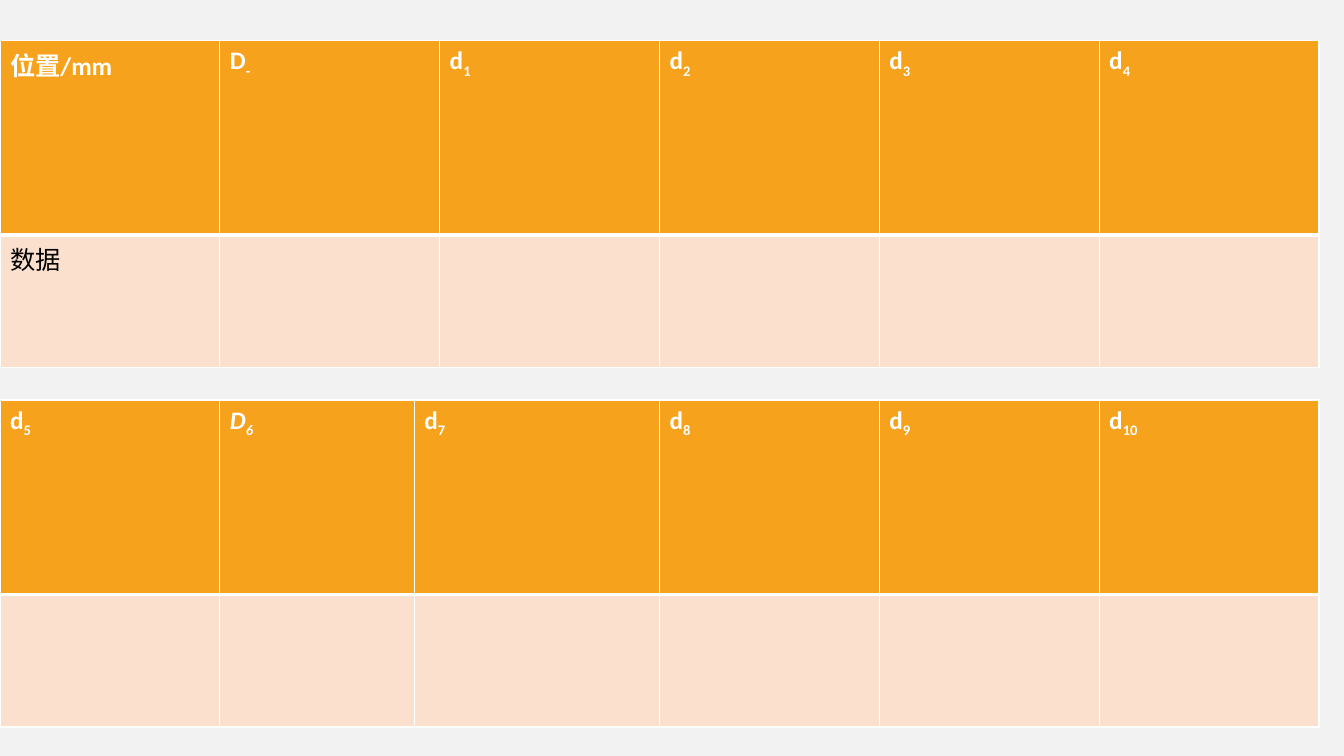
from dataclasses import dataclass

from lxml.etree import SubElement
from pptx import Presentation
from pptx.dml.color import RGBColor
from pptx.oxml.ns import qn
from pptx.slide import Slide
from pptx.table import _Cell
from pptx.util import Cm, Pt


@dataclass(frozen=True)
class Theme:
    background: str = "F2F2F2"
    header: str = "F6A21D"
    body: str = "FBE0CD"
    border: str = "FFFFFF"
    header_text: str = "FFFFFF"
    body_text: str = "000000"
    font: str = "Calibri"
    size: int = 18
    thin: int = 1
    thick: int = 3


@dataclass(frozen=True)
class Label:
    base: str = ""
    subscript: str = ""
    italic: bool = False


@dataclass(frozen=True)
class Readings:
    top: float
    widths: tuple[float, ...]
    rows: tuple[tuple[Label, ...], ...]


THEME = Theme()
ROW_HEIGHTS = (4.9, 3.34)
COLUMN = 5.54
BLANK = Label()

READINGS = (
    Readings(
        1.03,
        (COLUMN,) * 6,
        (
            (Label("位置/mm"), Label("D", "-"), *(Label("d", str(n)) for n in range(1, 5))),
            (Label("数据"), *(BLANK,) * 5),
        ),
    ),
    Readings(
        10.08,
        (COLUMN, 4.9, 6.18, COLUMN, COLUMN, COLUMN),
        (
            (Label("d", "5"), Label("D", "6", True), *(Label("d", str(n)) for n in range(7, 11))),
            (BLANK,) * 6,
        ),
    ),
)


def draw_borders(cell: _Cell, widths: dict[str, int]) -> None:
    properties = cell._tc.get_or_add_tcPr()
    for side, width in widths.items():
        edge = SubElement(properties, qn(f"a:{side}"), w=str(Pt(width)))
        fill = SubElement(edge, qn("a:solidFill"))
        SubElement(fill, qn("a:srgbClr"), val=THEME.border)


def write_label(cell: _Cell, label: Label, is_header: bool) -> None:
    formats = {
        "name": THEME.font,
        "size": Pt(THEME.size),
        "bold": is_header,
        "italic": label.italic,
    }
    colour = THEME.header_text if is_header else THEME.body_text
    for text, baseline in ((label.base, 0), (label.subscript, -25000)):
        if not text:
            continue
        run = cell.text_frame.paragraphs[0].add_run()
        run.text = text
        for attribute, value in formats.items():
            setattr(run.font, attribute, value)
        run.font.color.rgb = RGBColor.from_string(colour)
        if baseline:
            run._r.get_or_add_rPr().set("baseline", str(baseline))


def draw_readings(slide: Slide, readings: Readings) -> None:
    grid = slide.shapes.add_table(
        len(readings.rows),
        len(readings.widths),
        Cm(0),
        Cm(readings.top),
        Cm(sum(readings.widths)),
        Cm(sum(ROW_HEIGHTS)),
    ).table
    for column, width in zip(grid.columns, readings.widths):
        column.width = Cm(width)
    for index, (labels, height) in enumerate(zip(readings.rows, ROW_HEIGHTS)):
        is_header = index == 0
        grid.rows[index].height = Cm(height)
        borders = {
            "lnL": THEME.thin,
            "lnR": THEME.thin,
            "lnT": THEME.thin if is_header else THEME.thick,
            "lnB": THEME.thick if is_header else THEME.thin,
        }
        for position, label in enumerate(labels):
            cell = grid.cell(index, position)
            draw_borders(cell, borders)
            cell.fill.solid()
            cell.fill.fore_color.rgb = RGBColor.from_string(
                THEME.header if is_header else THEME.body
            )
            write_label(cell, label, is_header)


def main() -> None:
    presentation = Presentation()
    presentation.slide_width = Cm(33.87)
    presentation.slide_height = Cm(19.05)
    slide = presentation.slides.add_slide(presentation.slide_layouts[6])
    slide.background.fill.solid()
    slide.background.fill.fore_color.rgb = RGBColor.from_string(THEME.background)
    for readings in READINGS:
        draw_readings(slide, readings)
    presentation.save("out.pptx")


if __name__ == "__main__":
    main()
